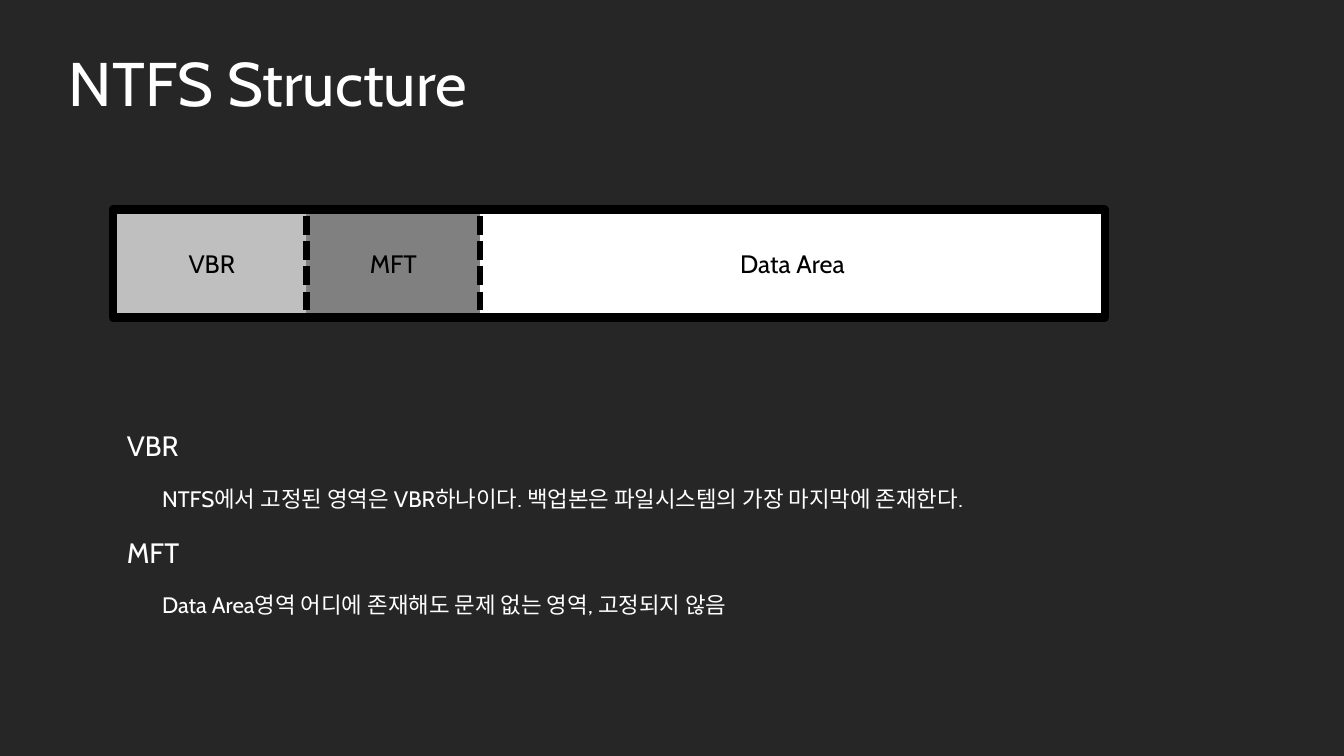
from dataclasses import dataclass

import pptx
import pptx.dml.color
import pptx.enum.dml
import pptx.enum.shapes
import pptx.enum.text
import pptx.oxml.xmlchemy
import pptx.util

ALIGN = pptx.enum.text.PP_ALIGN
ANCHOR = pptx.enum.text.MSO_ANCHOR


def rgb(code):
    return pptx.dml.color.RGBColor.from_string(code)


@dataclass(frozen=True)
class Theme:
    font: str = "Cabin"
    back: str = "262626"
    light: str = "FFFFFF"
    dark: str = "000000"
    vbr: str = "BFBFBF"
    mft: str = "808080"
    title: int = 44
    heading: int = 20
    label: int = 18
    detail: int = 16


def write(tf, text, *, font, size, color, align=ALIGN.LEFT, anchor=ANCHOR.TOP):
    tf.word_wrap = True
    tf.auto_size = pptx.enum.text.MSO_AUTO_SIZE.NONE
    tf.vertical_anchor = anchor
    p = tf.paragraphs[0]
    p.alignment = align
    r = p.add_run()
    r.text = text
    r.font.name = font
    r.font.size = pptx.util.Pt(size)
    r.font.color.rgb = rgb(color)


class Deck:
    """Holds the theme and current slide; lengths are in grid columns and rows."""

    COLS, ROWS = 160, 90

    def __init__(self, theme):
        self.theme = theme
        self.prs = pptx.Presentation()
        self.prs.slide_width = pptx.util.Inches(13.33)
        self.prs.slide_height = pptx.util.Inches(7.5)
        self.s = self.prs.slides.add_slide(self.prs.slide_layouts[5])
        fill = self.s.background.fill
        fill.solid()
        fill.fore_color.rgb = rgb(theme.back)

    def x(self, cols):
        return round(self.prs.slide_width * cols / self.COLS)

    def y(self, rows):
        return round(self.prs.slide_height * rows / self.ROWS)

    def box(self, left, top, width, height):
        return self.x(left), self.y(top), self.x(width), self.y(height)

    def title(self, text, *place):
        sp = self.s.shapes.title
        sp.left, sp.top, sp.width, sp.height = self.box(*place)
        write(sp.text_frame, text, font=self.theme.font, size=self.theme.title,
              color=self.theme.light)

    def text(self, text, *place, size):
        sp = self.s.shapes.add_textbox(*self.box(*place))
        write(sp.text_frame, text, font=self.theme.font, size=size,
              color=self.theme.light)

    def rect(self, *place, text=None, fill=None, line=None):
        sp = self.s.shapes.add_shape(
            pptx.enum.shapes.MSO_SHAPE.RECTANGLE, *self.box(*place))
        sp.shadow.inherit = False
        if fill:
            sp.fill.solid()
            sp.fill.fore_color.rgb = rgb(fill)
        else:
            sp.fill.background()
        if line:
            sp.line.color.rgb = rgb(self.theme.dark)
            sp.line.width = pptx.util.Pt(line)
        else:
            sp.line.fill.background()
        if text:
            write(sp.text_frame, text, font=self.theme.font, size=self.theme.label,
                  color=self.theme.dark, align=ALIGN.CENTER, anchor=ANCHOR.MIDDLE)

    def divider(self, col, top, bottom):
        sp = self.s.shapes.add_connector(
            pptx.enum.shapes.MSO_CONNECTOR.STRAIGHT,
            self.x(col), self.y(top), self.x(col), self.y(bottom))
        sp.line.color.rgb = rgb(self.theme.dark)
        sp.line.width = pptx.util.Pt(4.5)
        sp.line.dash_style = pptx.enum.dml.MSO_LINE.SQUARE_DOT
        sp._element.spPr.append(pptx.oxml.xmlchemy.OxmlElement("a:effectLst"))


def main():
    theme = Theme()
    deck = Deck(theme)
    deck.title("NTFS Structure", 7, 4.8, 92.4, 10.08)

    # Volume layout: areas between successive edges
    edges = [13.92, 36.5, 57.15, 131.5]
    areas = [("VBR", theme.vbr), ("MFT", theme.mft), ("Data Area", theme.light)]
    for (name, fill), left, right in zip(areas, edges, edges[1:]):
        deck.rect(left, 25.45, right - left, 11.88, text=name, fill=fill)

    # Frame and dashed borders
    deck.rect(13.44, 24.96, 118.1, 12.84, line=6)
    for edge in edges[1:-1]:
        deck.divider(edge, 25.7, 38)

    # Explanations
    notes = [
        ("VBR", "NTFS에서 고정된 영역은 VBR하나이다. "
                "백업본은 파일시스템의 가장 마지막에 존재한다."),
        ("MFT", "Data Area영역 어디에 존재해도 문제 없는 영역, 고정되지 않음"),
    ]
    for i, (heading, detail) in enumerate(notes):
        top = 50.4 + 12.72 * i
        deck.text(heading, 13.92, top, 132.1, 5.25, size=theme.heading)
        deck.text(detail, 18.12, top + 6.72, 132.1, 4.44, size=theme.detail)

    deck.prs.save("out.pptx")


if __name__ == "__main__":
    main()
